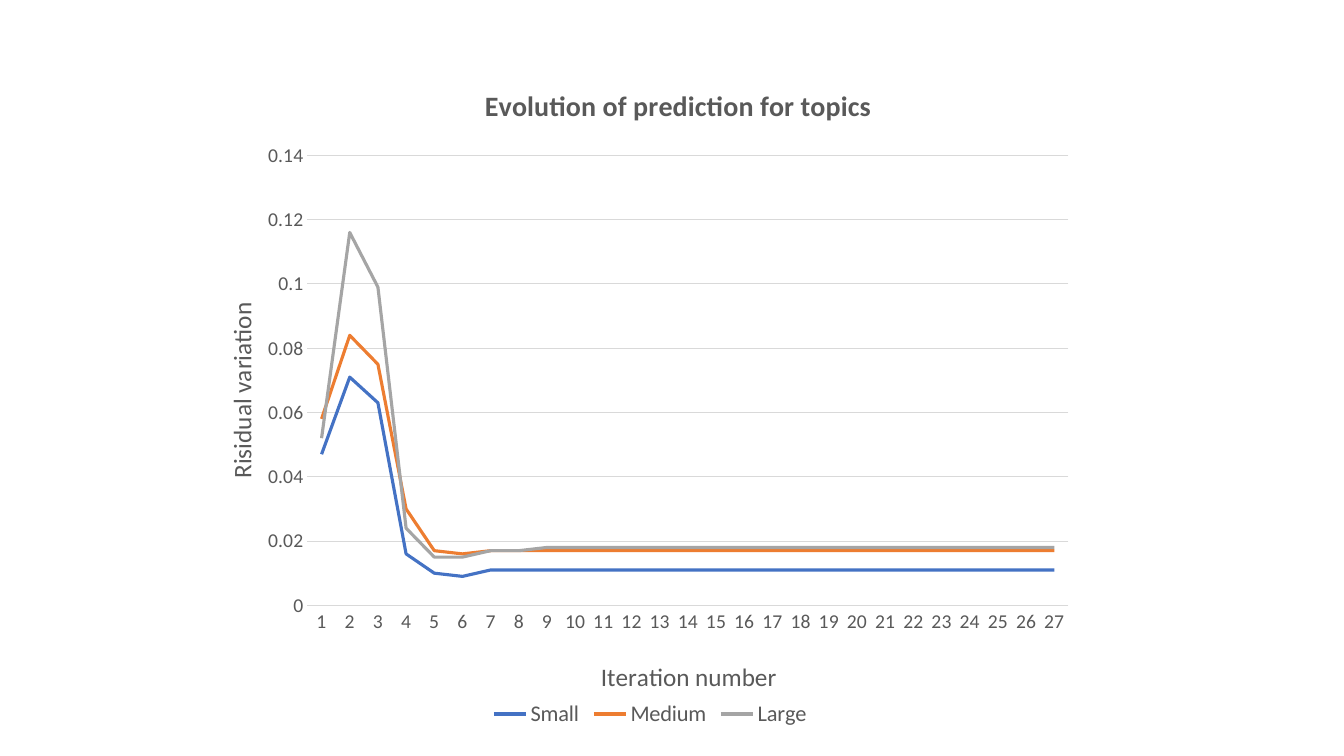
from lxml import etree
from pptx import Presentation
from pptx import util as u
from pptx.chart.data import CategoryChartData
from pptx.dml.color import RGBColor
from pptx.enum import chart as kinds
from pptx.oxml.ns import qn

GREY, RULE = "595959", "D9D9D9"
SERIES = [
    ("Small", "4472C4",
     [0.047, 0.071, 0.063, 0.016, 0.01, 0.009] + [0.011] * 21),
    ("Medium", "ED7D31",
     [0.058, 0.084, 0.075, 0.03, 0.017, 0.016] + [0.017] * 21),
    ("Large", "A5A5A5",
     [0.052, 0.116, 0.099, 0.024, 0.015, 0.015, 0.017, 0.017] + [0.018] * 19),
]


def style(font, size, color=GREY, bold=False):
    font.name = "Calibri"
    font.size = u.Pt(size)
    font.bold = bold
    font.color.rgb = RGBColor.from_string(color)


def place(element, index, **settings):
    """Give a chart part a manual layout, as fractions of the chart."""
    for old in element.findall(qn("c:layout")):
        element.remove(old)
    layout = etree.Element(qn("c:layout"))
    manual = etree.SubElement(layout, qn("c:manualLayout"))
    for name, value in settings.items():
        etree.SubElement(manual, qn("c:" + name)).set("val", str(value))
    element.insert(index, layout)


deck = Presentation()
deck.slide_width, deck.slide_height = u.Pt(960), u.Pt(540)
page = deck.slides.add_slide(deck.slide_layouts[6])

data = CategoryChartData()
data.categories = [str(number) for number in range(1, 28)]
for name, _, values in SERIES:
    data.add_series(name, values)

chart = page.shapes.add_chart(
    kinds.XL_CHART_TYPE.LINE, u.Pt(144), u.Pt(23), u.Pt(641), u.Pt(500), data
).chart
style(chart.font, 10, "000000")

for line, (_, color, _) in zip(chart.plots[0].series, SERIES):
    line.smooth = False
    line.marker.style = kinds.XL_MARKER_STYLE.NONE
    line.format.line.width = u.Pt(2.25)
    line.format.line.color.rgb = RGBColor.from_string(color)

across, up = chart.category_axis, chart.value_axis
for axis in (across, up):
    axis.major_tick_mark = axis.minor_tick_mark = kinds.XL_TICK_MARK.NONE
    style(axis.tick_labels.font, 14)
up.minimum_scale, up.maximum_scale, up.major_unit = 0, 0.14, 0.02
up.tick_labels.number_format = "General"
up.tick_labels.number_format_is_linked = False
up.has_major_gridlines = True
up.format.line.fill.background()
for rule in (across.format.line, up.major_gridlines.format.line):
    rule.width = u.Pt(0.75)
    rule.color.rgb = RGBColor.from_string(RULE)

chart.has_title = across.has_title = up.has_title = True
for title, words, size, bold, x, y in [
    (chart.chart_title, "Evolution of prediction for topics", 20, True, 0.31, 0.07),
    (across.axis_title, "Iteration number", 18, False, 0.44, 0.89),
    (up.axis_title, "Risidual variation", 18, False, 0.02, 0.38),
]:
    para = title.text_frame.paragraphs[0]
    style(para.font, size, bold=bold)
    span = para.add_run()
    span.text = words
    style(span.font, size, bold=bold)
    place(title._element, 1, xMode="edge", yMode="edge", x=x, y=y)
up.axis_title._element.find(".//" + qn("a:bodyPr")).set("rot", "-5400000")

chart.has_legend = True
chart.legend.position = kinds.XL_LEGEND_POSITION.BOTTOM
chart.legend.include_in_layout = False
style(chart.legend.font, 16)

plot_area = chart._chartSpace.find(".//" + qn("c:plotArea"))
place(plot_area, 0, layoutTarget="inner", xMode="edge", yMode="edge",
      x=0.118, y=0.176, w=0.848, h=0.643)

deck.save("out.pptx")
